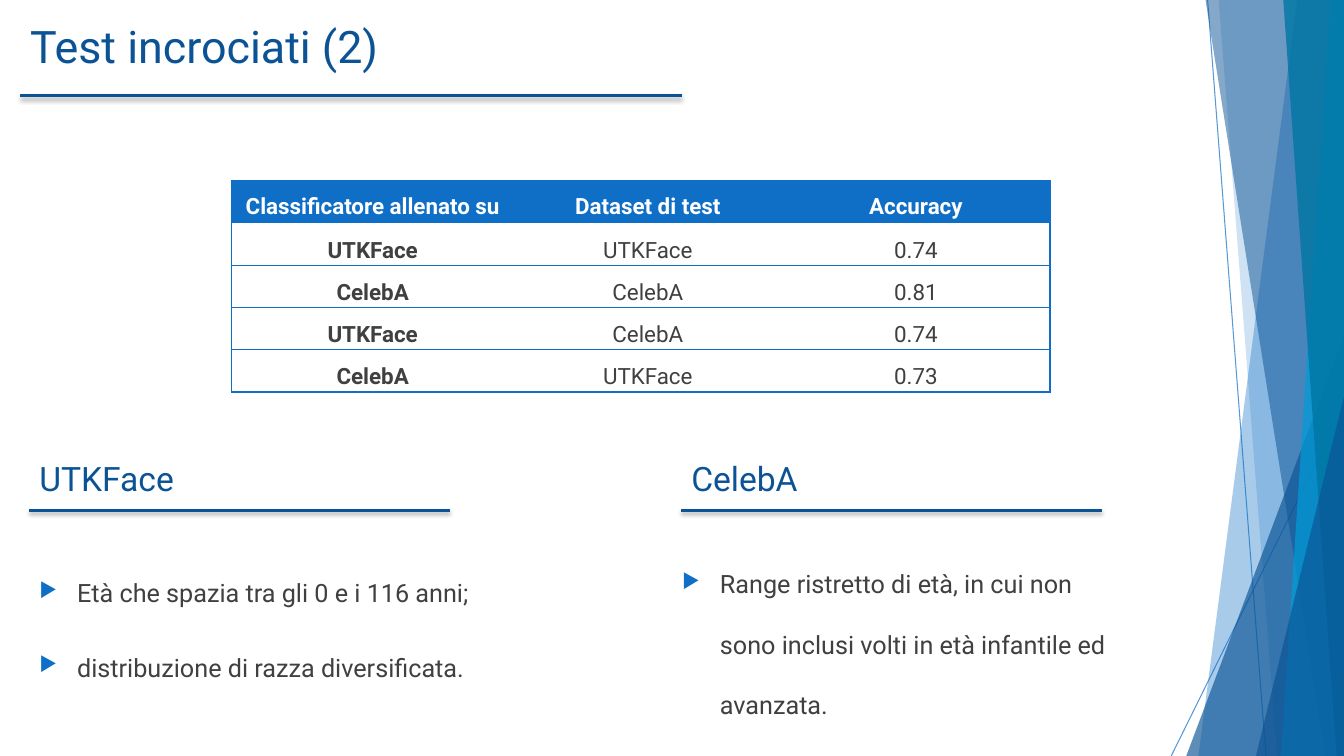
from lxml import etree
from pptx import Presentation
from pptx.dml.color import RGBColor
from pptx.enum import shapes, text
from pptx.oxml import ns
from pptx.util import Pt

COLORS = {"blue": "0F6FC6", "navy": "0B5394", "cyan": "009DD9", "teal": "0076A3",
          "text": "404040", "white": "FFFFFF", "black": "000000"}
FONT = "Roboto"
WIDTH, HEIGHT = 960, 540

RAYS = [(862.6, 0, 904.3, HEIGHT), (WIDTH, 290.2, 836.6, HEIGHT)]
FACETS = [
    ("band", (926.6, 856), "blue", 36),
    ("band", (870.5, 912.2), "blue", 20),
    ("triangle", (847.4, 239.8), "navy", 66),
    ("band", (861, 946.8), "navy", 50),
    ("band", (950.4, 915), "cyan", 70),
    ("band", (916.6, 954.7), "teal", 80),
    ("triangle", (897.1, 283), "navy", 66),
]
HEADINGS = [
    ("Test incrociati (2)", (14.4, 10, 543.6, 60), 32),
    ("UTKFace", (21, 323.3, 164, 33), 24),
    ("CelebA", (486.7, 323.3, 164, 33), 24),
]
RULES = [(14.4, 68.4, 472.4), (21, 364.4, 300.6), (486.7, 364.4, 300.6)]
BULLETS = [
    (["Età che spazia tra gli 0 e i 116 anni;", "distribuzione di razza diversificata."],
     (21, 387.4, 354.2, 134)),
    (["Range ristretto di età, in cui non sono inclusi volti in età infantile ed avanzata."],
     (480.2, 380.9, 316.8, 134)),
]
TABLE_ROWS = [
    ("Classificatore allenato su", "Dataset di test", "Accuracy"),
    ("UTKFace", "UTKFace", "0.74"),
    ("CelebA", "CelebA", "0.81"),
    ("UTKFace", "CelebA", "0.74"),
    ("CelebA", "UTKFace", "0.73"),
]
TABLE_LEFT, TABLE_TOP, ROW_HEIGHT = 165.4, 129, 30.2
COLUMN_WIDTHS = (201.6, 191.5, 191.5)
INDENT = 27


def rgb(name):
    """Return the named colour."""
    return RGBColor.from_string(COLORS[name])


def add_node(parent, tag, **attributes):
    """Append a DrawingML element and return it."""
    return etree.SubElement(parent, ns.qn("a:" + tag), attributes)


def set_alpha(properties, percent):
    """Make the solid colour inside the properties partly transparent."""
    color = properties.find(".//" + ns.qn("a:srgbClr"))
    add_node(color, "alpha", val=str(percent * 1000))


def apply_format(target, values):
    """Set each attribute of the target."""
    for name, value in values.items():
        setattr(target, name, value)


def style_font(paragraph, size, color, bold=False):
    """Set the font of a paragraph."""
    apply_format(paragraph.font, {"name": FONT, "size": Pt(size), "bold": bold})
    paragraph.font.color.rgb = rgb(color)


def add_line(slide, ends, color, width):
    """Add a straight line and return it with its effect list."""
    line = slide.shapes.add_connector(shapes.MSO_CONNECTOR.STRAIGHT, *map(Pt, ends))
    line.line.color.rgb = rgb(color)
    line.line.width = Pt(width)
    return line, add_node(line._element.spPr, "effectLst")


def add_facets(slide):
    """Draw the translucent facets on the right edge."""
    for ends in RAYS:
        ray, _ = add_line(slide, ends, "blue", 0.75)
        set_alpha(ray._element.spPr, 70)
    for kind, (first, second), color, alpha in FACETS:
        if kind == "band":
            builder = slide.shapes.build_freeform(Pt(first), Pt(-0.6))
            corners = [(WIDTH, -0.6), (WIDTH, HEIGHT), (second, HEIGHT)]
            builder.add_line_segments([(Pt(x), Pt(y)) for x, y in corners], close=True)
            shape = builder.convert_to_shape()
        else:
            shape = slide.shapes.add_shape(
                shapes.MSO_SHAPE.ISOSCELES_TRIANGLE, Pt(first), Pt(second),
                Pt(WIDTH - first), Pt(HEIGHT - second))
            shape.adjustments[0] = 1
        shape.shadow.inherit = False
        shape.fill.solid()
        shape.fill.fore_color.rgb = rgb(color)
        shape.line.fill.background()
        set_alpha(shape._element.spPr, alpha)


def add_rule(slide, left, top, length):
    """Draw a heading rule with a soft shadow."""
    _, effects = add_line(slide, (left, top, left + length, top), "navy", 2)
    shadow = add_node(effects, "outerShdw", blurRad=str(Pt(3)), dist=str(Pt(2)),
                      dir="5400000", rotWithShape="0")
    color = add_node(shadow, "srgbClr", val=COLORS["black"])
    add_node(color, "alpha", val="35000")


def add_frame(slide, box):
    """Add a wrapping text box and return its text frame."""
    frame = slide.shapes.add_textbox(*map(Pt, box)).text_frame
    frame.word_wrap = True
    return frame


def add_bullets(slide, items, box):
    """Add a bulleted list."""
    frame = add_frame(slide, box)
    for index, item in enumerate(items):
        paragraph = frame.add_paragraph() if index else frame.paragraphs[0]
        paragraph.text = item
        properties = paragraph._p.get_or_add_pPr()
        properties.set("marL", str(Pt(INDENT)))
        properties.set("indent", str(Pt(-INDENT)))
        add_node(add_node(properties, "buClr"), "srgbClr", val=COLORS["blue"])
        add_node(properties, "buSzPct", val="80000")
        add_node(properties, "buChar", char="▶")
        apply_format(paragraph, {"line_spacing": 2.0, "space_before": Pt(10 if index else 0)})
        style_font(paragraph, 18, "text")


def set_borders(cell, visible):
    """Draw the visible sides of a cell and hide the others."""
    properties = cell._tc.get_or_add_tcPr()
    for side in "LRTB":
        border = add_node(properties, "ln" + side, w=str(Pt(1)))
        if side in visible:
            add_node(add_node(border, "solidFill"), "srgbClr", val=COLORS["blue"])
        else:
            add_node(border, "noFill")


def add_results(slide):
    """Add the accuracy table."""
    last = len(COLUMN_WIDTHS) - 1
    table = slide.shapes.add_table(
        len(TABLE_ROWS), len(COLUMN_WIDTHS), Pt(TABLE_LEFT), Pt(TABLE_TOP),
        Pt(sum(COLUMN_WIDTHS)), Pt(ROW_HEIGHT * len(TABLE_ROWS))).table
    table.horz_banding = False
    for column, width in zip(table.columns, COLUMN_WIDTHS):
        column.width = Pt(width)
    for row_index, values in enumerate(TABLE_ROWS):
        header = row_index == 0
        table.rows[row_index].height = Pt(ROW_HEIGHT)
        for column_index, value in enumerate(values):
            cell = table.cell(row_index, column_index)
            cell.text = value
            anchor = text.MSO_ANCHOR.TOP if header else text.MSO_ANCHOR.MIDDLE
            apply_format(cell, {"margin_left": Pt(5), "margin_right": Pt(5), "margin_top": 0,
                                "margin_bottom": 0, "vertical_anchor": anchor})
            paragraph = cell.text_frame.paragraphs[0]
            apply_format(paragraph, {"alignment": text.PP_ALIGN.CENTER, "line_spacing": 1.5})
            style_font(paragraph, 16, "white" if header else "text", header or column_index == 0)
            set_borders(cell, "TB" + "L" * (column_index == 0) + "R" * (column_index == last))
            cell.fill.solid()
            cell.fill.fore_color.rgb = rgb("blue" if header else "white")


def main():
    """Build the slide on the cross tests."""
    presentation = Presentation()
    apply_format(presentation, {"slide_width": Pt(WIDTH), "slide_height": Pt(HEIGHT)})
    slide = presentation.slides.add_slide(presentation.slide_layouts[6])
    add_facets(slide)
    for heading, box, size in HEADINGS:
        paragraph = add_frame(slide, box).paragraphs[0]
        paragraph.text = heading
        style_font(paragraph, size, "navy")
    for rule in RULES:
        add_rule(slide, *rule)
    add_results(slide)
    for items, box in BULLETS:
        add_bullets(slide, items, box)
    presentation.save("out.pptx")


if __name__ == "__main__":
    main()
